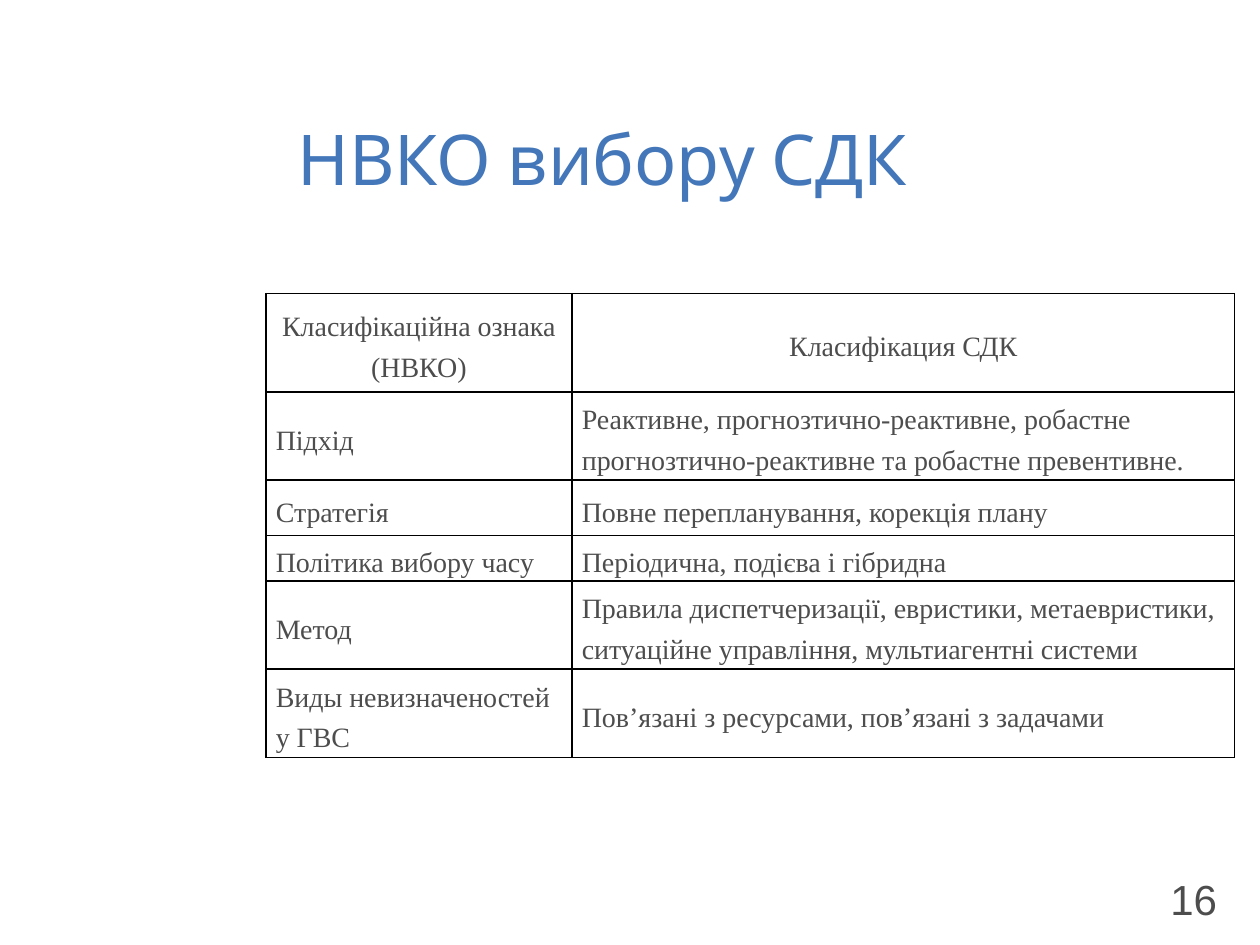
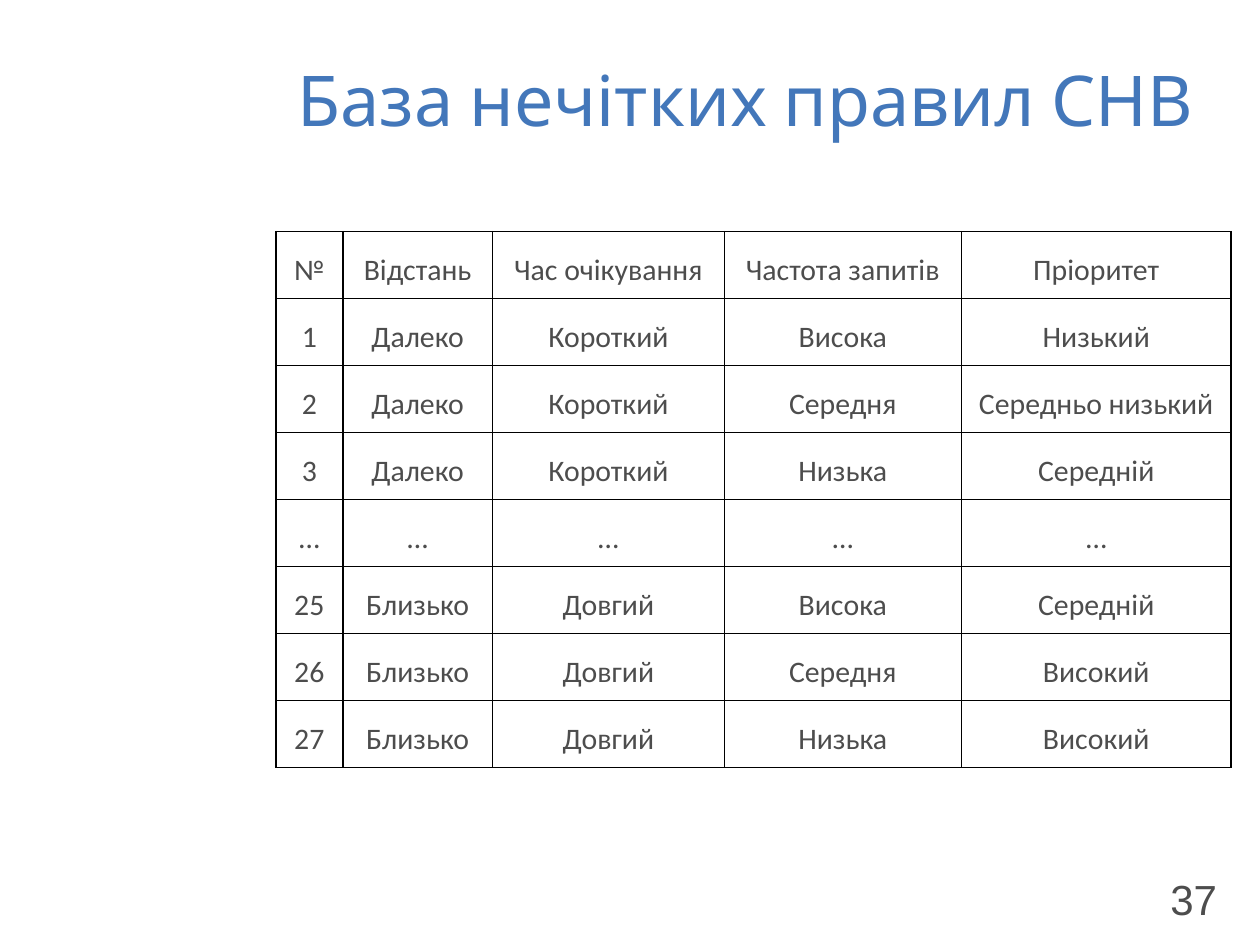
from dataclasses import dataclass

from lxml import etree
from pptx import Presentation
from pptx.dml.color import RGBColor
from pptx.enum.text import MSO_ANCHOR, MSO_AUTO_SIZE, PP_ALIGN
from pptx.oxml.ns import qn
from pptx.util import Cm, Pt

LEFT, CENTER = PP_ALIGN.LEFT, PP_ALIGN.CENTER
TOP, MIDDLE = MSO_ANCHOR.TOP, MSO_ANCHOR.MIDDLE
FIT_SHAPE = MSO_AUTO_SIZE.SHAPE_TO_FIT_TEXT
BLANK_LAYOUT = 6


@dataclass(frozen=True)
class Theme:
    title: tuple = ("Karla", 40, "4377BA")
    number: tuple = ("Arial", 24, "4D4D4D")
    criteria: tuple = ("Times New Roman", 16, "4D4D4D")
    rules: tuple = ("Calibri", 17, "4D4D4D")
    border_color: str = "000000"
    border_width: int = Pt(1)
    line_spacing: float = 1.3


THEME = Theme()

CRITERIA = [
    ("Класифікаційна ознака (НВКО)", "Класифікация СДК"),
    ("Підхід", "Реактивне, прогнозтично-реактивне, робастне\n"
               "прогнозтично-реактивне та робастне превентивне."),
    ("Стратегія", "Повне перепланування, корекція плану"),
    ("Політика вибору часу", "Періодична, подієва і гібридна"),
    ("Метод", "Правила диспетчеризації, евристики, метаевристики, "
              "ситуаційне управління, мультиагентні системи"),
    ("Виды невизначеностей у ГВС", "Пов’язані з ресурсами, пов’язані з задачами"),
]

RULES = [
    ("№", "Відстань", "Час очікування", "Частота запитів", "Пріоритет"),
    ("1", "Далеко", "Короткий", "Висока", "Низький"),
    ("2", "Далеко", "Короткий", "Середня", "Середньо низький"),
    ("3", "Далеко", "Короткий", "Низька", "Середній"),
    ("…",) * 5,
    ("25", "Близько", "Довгий", "Висока", "Середній"),
    ("26", "Близько", "Довгий", "Середня", "Високий"),
    ("27", "Близько", "Довгий", "Низька", "Високий"),
]


def set_attrs(obj, values):
    for name, value in values.items():
        setattr(obj, name, value)


def write_text(tf, text, style, paragraph_format):
    font, size, color = style
    tf.text = text
    for p in tf.paragraphs:
        set_attrs(p, paragraph_format)
        for r in p.runs:
            set_attrs(r.font, {"name": font, "size": Pt(size)})
            r.font.color.rgb = RGBColor.from_string(color)


def add_text(s, box, text, style, align, frame_format):
    sp = s.shapes.add_textbox(*map(Cm, box))
    write_text(sp.text_frame, text, style, {"alignment": align})
    set_attrs(sp.text_frame, frame_format)


def add_slide(prs, title, title_top, number):
    s = prs.slides.add_slide(prs.slide_layouts[BLANK_LAYOUT])
    add_text(s, (23.29, 17.48, 1.55, 1.27), str(number), THEME.number, CENTER,
             {"word_wrap": False, "auto_size": FIT_SHAPE, "vertical_anchor": TOP})
    add_text(s, (5.75, title_top, 19.25, 1.98), title, THEME.title, LEFT,
             {"word_wrap": True, "vertical_anchor": MIDDLE})
    return s


def add_borders(cell):
    """Rule all four sides; the lines must come before the fill in tcPr."""
    tc_pr = cell._tc.get_or_add_tcPr()
    for i, side in enumerate(("lnL", "lnR", "lnT", "lnB")):
        ln = etree.Element(qn(f"a:{side}"), w=str(THEME.border_width))
        fill = etree.SubElement(ln, qn("a:solidFill"))
        etree.SubElement(fill, qn("a:srgbClr"), val=THEME.border_color)
        tc_pr.insert(i, ln)


def add_grid(s, left, top, widths, heights, rows, style, side_margin, body_align):
    """Add a ruled table with a centred header row; lengths are in cm."""
    table = s.shapes.add_table(len(rows), len(widths), Cm(left), Cm(top),
                               Cm(sum(widths)), Cm(sum(heights))).table
    set_attrs(table, {"first_row": False, "horz_banding": False})
    for column, width in zip(table.columns, widths):
        column.width = Cm(width)
    cell_format = {"margin_left": Cm(side_margin), "margin_right": Cm(side_margin),
                   "margin_top": 0, "margin_bottom": 0, "vertical_anchor": MIDDLE}
    for i, (height, texts) in enumerate(zip(heights, rows)):
        table.rows[i].height = Cm(height)
        align = body_align if i else CENTER
        for j, text in enumerate(texts):
            cell = table.cell(i, j)
            set_attrs(cell, cell_format)
            write_text(cell.text_frame, text, style,
                       {"alignment": align, "line_spacing": THEME.line_spacing})
            cell.fill.background()
            add_borders(cell)


def main():
    prs = Presentation()
    prs.slide_width, prs.slide_height = Cm(25.4), Cm(19.05)

    s = add_slide(prs, "НВКО вибору СДК", 2.18, 16)
    add_grid(s, 5.36, 5.92, (6.17, 13.36), (1.98, 1.78, 1.12, 0.91, 1.78, 1.78),
             CRITERIA, THEME.criteria, 0.2, LEFT)

    s = add_slide(prs, "База нечітких правил СНВ", 0.99, 37)
    add_grid(s, 5.56, 4.67, (1.35, 3.02, 4.67, 4.78, 5.44), [1.35] * len(RULES),
             RULES, THEME.rules, 0.1, CENTER)

    prs.save("out.pptx")


if __name__ == "__main__":
    main()
